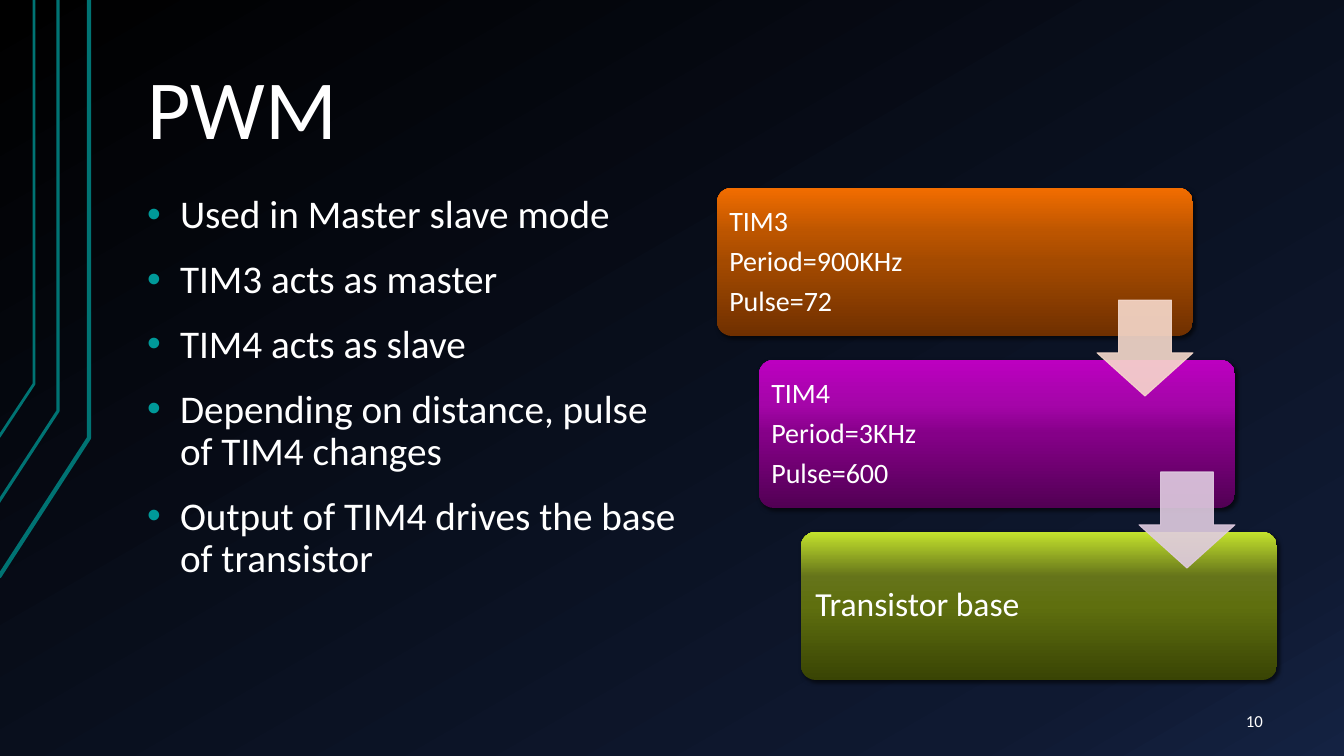
from lxml.etree import SubElement
from pptx import Presentation
from pptx.dml.color import RGBColor
from pptx.enum.shapes import MSO_SHAPE
from pptx.enum.text import MSO_ANCHOR, MSO_AUTO_SIZE, PP_ALIGN
from pptx.oxml.ns import qn
from pptx.util import Pt

PIXEL = 914400 / 100.8
FONT = "Calibri"
WHITE = "FFFFFF"
BACKGROUND = [(0, "000000"), (85, "0F1931"), (100, "142242")]
BULLETS = [
    "Used in Master slave mode",
    "TIM3 acts as master",
    "TIM4 acts as slave",
    "Depending on distance, pulse of TIM4 changes",
    "Output of TIM4 drives the base of transistor",
]
STAGES = [
    (["TIM3", "Period=900KHz", "Pulse=72"], 20, 8,
     [(0, "703000"), (50, "A44A00"), (70, "BC5500"), (100, "F26D00")]),
    (["TIM4", "Period=3KHz", "Pulse=600"], 20, 8,
     [(0, "520054"), (50, "850088"), (70, "A505A9"), (100, "BC00C0")]),
    (["Transistor base"], 24, 10,
     [(0, "394404"), (50, "5F6F0F"), (70, "65741A"), (100, "C4E32D")]),
]
ARROW_COLOURS = ["F7DACC", "E0CCE1"]
RAILS = [(89, 438, -1, 577, 3), (58, 411, -2, 503, 2.25), (34, 384, -1, 437, 2)]


def px(length):
    """Turn a length in pixels into EMU."""
    return round(length * PIXEL)


def colour(hex_string):
    """Turn a hex string into a colour."""
    return RGBColor.from_string(hex_string)


def place(shape, box):
    """Move a shape to a pixel box of left, top, width and height."""
    shape.left, shape.top, shape.width, shape.height = map(px, box)


def paint_gradient(owner, fill, stops, angle):
    """Give a fill a linear gradient with any number of stops."""
    fill.gradient()
    gradient = owner.element.find(".//" + qn("a:gradFill"))
    for child in list(gradient):
        gradient.remove(child)
    stop_list = SubElement(gradient, qn("a:gsLst"))
    for position, hex_string in stops:
        stop = SubElement(stop_list, qn("a:gs"), pos=str(position * 1000))
        SubElement(stop, qn("a:srgbClr"), val=hex_string)
    SubElement(gradient, qn("a:lin"), ang=str(angle * 60000), scaled="0")


def write(shape, lines, size, insets, anchor, align=PP_ALIGN.LEFT, spacing=0.9, before=0, after=0):
    """Write formatted paragraphs into a shape."""
    frame = shape.text_frame
    frame.word_wrap = True
    frame.auto_size = MSO_AUTO_SIZE.NONE
    frame.vertical_anchor = anchor
    frame.margin_left = frame.margin_right = px(insets[0])
    frame.margin_top = frame.margin_bottom = px(insets[1])
    frame.text = "\n".join(lines)
    for paragraph in frame.paragraphs:
        paragraph.alignment = align
        paragraph.line_spacing = spacing
        paragraph.space_before = Pt(before)
        paragraph.space_after = Pt(after)
        for run in paragraph.runs:
            run.font.name = FONT
            run.font.size = Pt(size)
            run.font.color.rgb = colour(WHITE)


def draw_rails(slide):
    """Draw the bent lines down the left edge."""
    for x, bend, end_x, end_y, weight in RAILS:
        builder = slide.shapes.build_freeform(end_x, end_y, scale=PIXEL)
        builder.add_line_segments([(x, bend), (x, 0)], close=False)
        rail = builder.convert_to_shape()
        rail.shadow.inherit = False
        rail.fill.background()
        rail.line.color.rgb = colour("007373")
        rail.line.width = Pt(weight)


def fill_title(slide, box):
    """Place and write the title."""
    place(slide.shapes.title, box)
    write(slide.shapes.title, ["PWM"], 60, (13, 7), MSO_ANCHOR.BOTTOM)


def fill_bullets(slide, box):
    """Place and write the bulleted list."""
    body = slide.placeholders[1]
    place(body, box)
    write(body, BULLETS, 28, (13, 7), MSO_ANCHOR.TOP, before=16)
    for paragraph in body.text_frame.paragraphs:
        properties = paragraph._p.get_or_add_pPr()
        properties.set("marL", str(px(33)))
        properties.set("indent", str(px(-33)))
        bullet_colour = SubElement(properties, qn("a:buClr"))
        SubElement(bullet_colour, qn("a:srgbClr"), val="009999")
        SubElement(properties, qn("a:buFont"), typeface="Arial")
        SubElement(properties, qn("a:buChar"), char="•")


def add_card(slide, box, lines, size, inset, stops):
    """Add one rounded stage card with its text and shadow."""
    card = slide.shapes.add_shape(MSO_SHAPE.ROUNDED_RECTANGLE, *map(px, box))
    card.adjustments[0] = 0.1
    paint_gradient(card, card.fill, stops, 270)
    card.line.fill.background()
    card.shadow.inherit = False
    effects = card.element.spPr.find(qn("a:effectLst"))
    shadow = SubElement(effects, qn("a:outerShdw"), blurRad=str(Pt(3)), dist=str(Pt(2)),
                        dir=str(45 * 60000), algn="ctr", rotWithShape="0")
    shade = SubElement(shadow, qn("a:srgbClr"), val="000000")
    SubElement(shade, qn("a:alpha"), val="60000")
    write(card, lines, size, (inset, inset), MSO_ANCHOR.MIDDLE, after=size * 0.35)


def add_arrow(slide, box, hex_string):
    """Add a slightly transparent down arrow."""
    arrow = slide.shapes.add_shape(MSO_SHAPE.DOWN_ARROW, *map(px, box))
    arrow.adjustments[0], arrow.adjustments[1] = 0.55, 0.45
    arrow.shadow.inherit = False
    arrow.fill.solid()
    arrow.fill.fore_color.rgb = colour(hex_string)
    arrow.line.color.rgb = colour(hex_string)
    arrow.line.width = Pt(0.75)
    for tint in arrow.element.spPr.iter(qn("a:srgbClr")):
        SubElement(tint, qn("a:alpha"), val="90000")


def draw_stages(slide, box):
    """Draw the staggered cards, then the arrows that link them."""
    left, top, width, height = box
    card_width, card_height, arrow_side = 476, 148, 96
    last = len(STAGES) - 1
    step_x, step_y = (width - card_width) / last, (height - card_height) / last
    for index, stage in enumerate(STAGES):
        add_card(slide, (left + index * step_x, top + index * step_y, card_width, card_height), *stage)
    for index, hex_string in enumerate(ARROW_COLOURS):
        arrow_left = left + index * step_x + card_width - arrow_side
        arrow_top = top + index * step_y + 112
        add_arrow(slide, (arrow_left, arrow_top, arrow_side, arrow_side), hex_string)


def add_page_number(slide, box):
    """Add the page number in the lower right corner."""
    number = slide.shapes.add_textbox(*map(px, box))
    write(number, ["10"], 12, (13, 7), MSO_ANCHOR.MIDDLE, PP_ALIGN.RIGHT, 1.0)


def main():
    """Build and save the presentation."""
    presentation = Presentation()
    presentation.slide_width, presentation.slide_height = px(1344), px(756)
    slide = presentation.slides.add_slide(presentation.slide_layouts[1])
    paint_gradient(slide, slide.background.fill, BACKGROUND, 60)
    draw_rails(slide)
    fill_title(slide, (134, 30, 1142, 135))
    fill_bullets(slide, (134, 188, 559, 492))
    draw_stages(slide, (717, 188, 560, 492))
    add_page_number(slide, (1164, 701, 112, 40))
    presentation.save("out.pptx")


if __name__ == "__main__":
    main()
